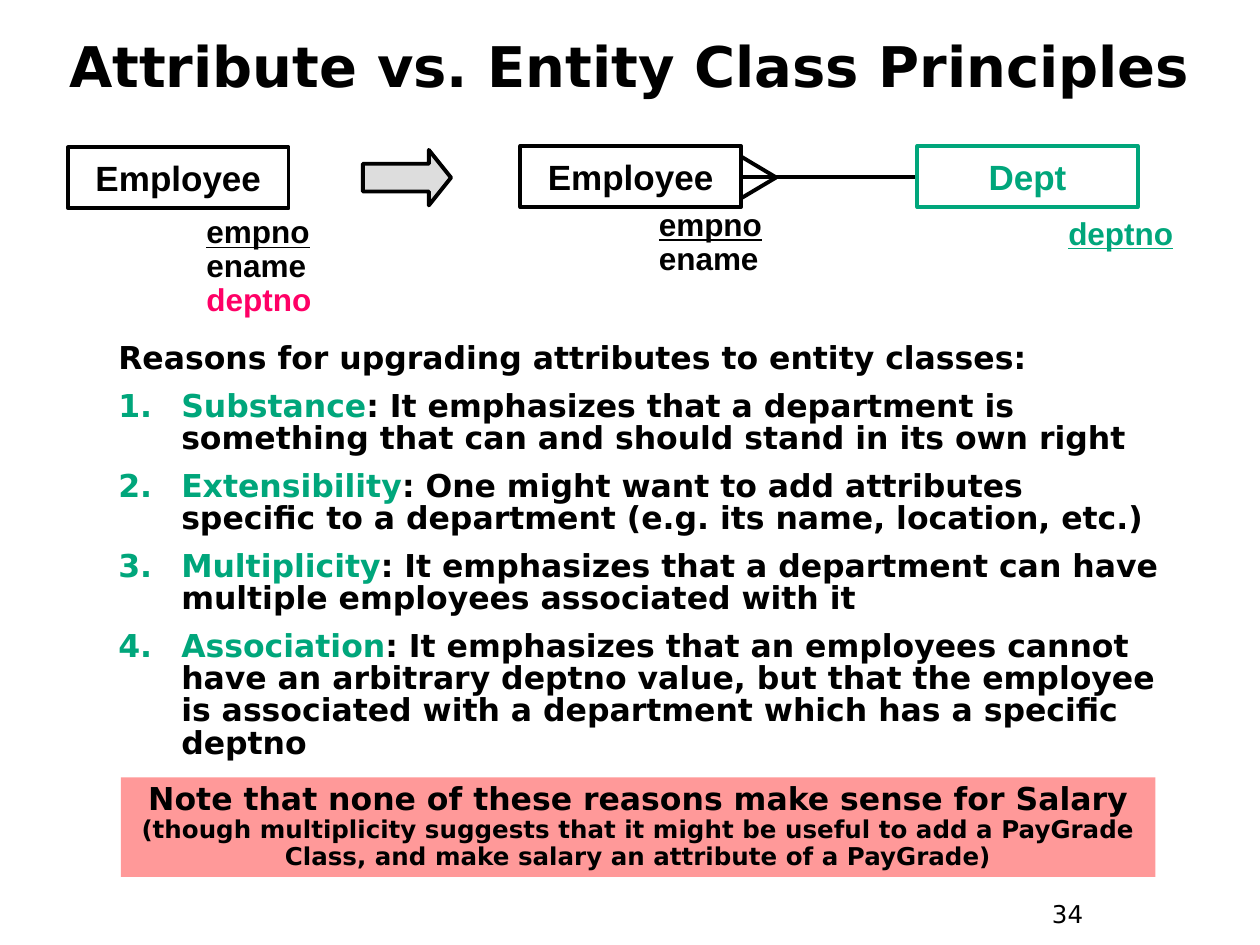
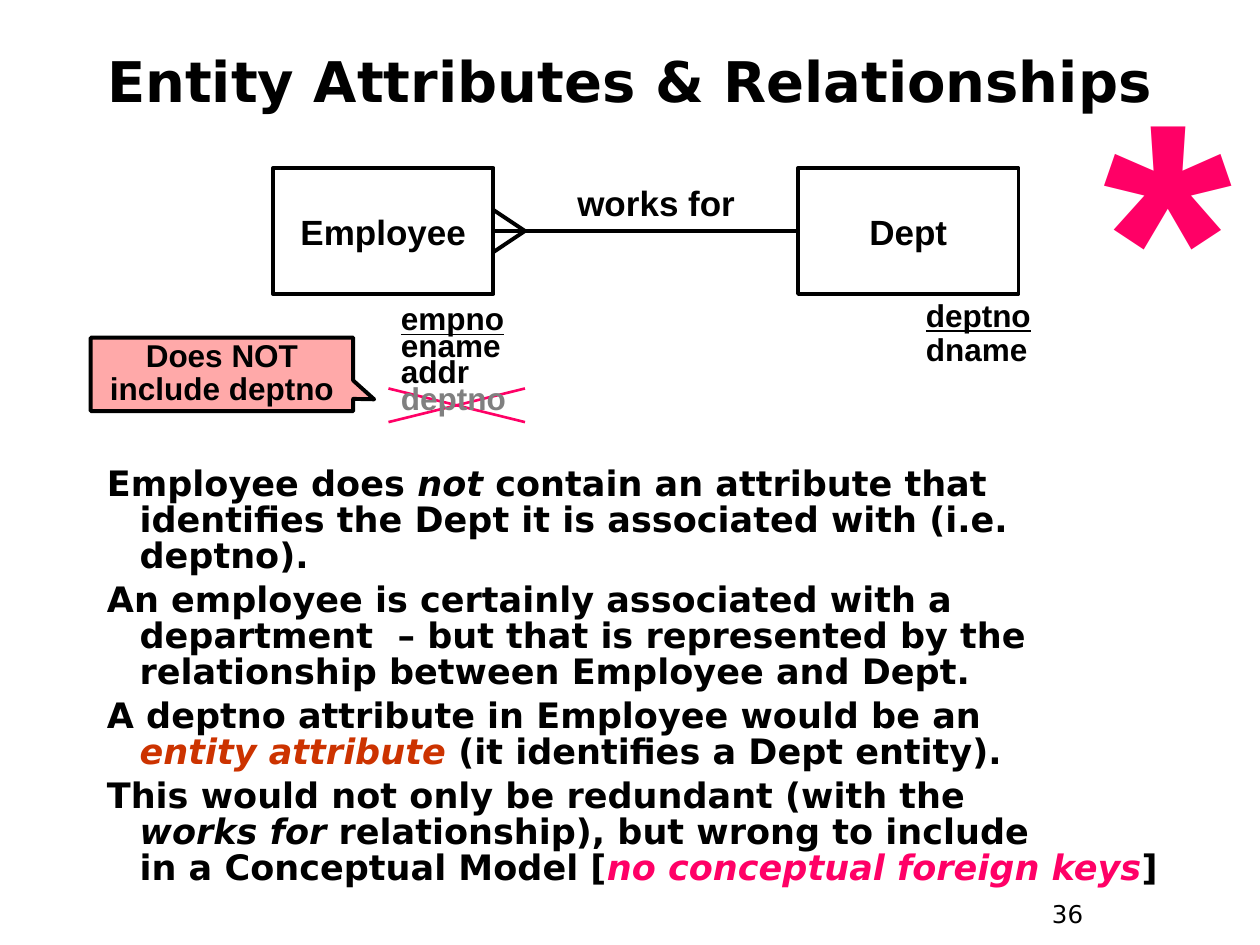
import dataclasses
import typing

import lxml.etree
import pptx
import pptx.dml.color
import pptx.enum.shapes
import pptx.enum.text
import pptx.oxml.ns
import pptx.util

COLOURS = {
    "black": "000000", "green": "00A67B", "pink": "FF0066", "rust": "CC3300",
    "grey": "808080", "arrow": "DDDDDD", "note": "FF9999", "callout": "FFA9A9",
}
SANS, ARIAL = "DejaVu Sans", "Arial"
LINE_WIDTH = 2.25
SHAPES = pptx.enum.shapes.MSO_SHAPE
ALIGN = pptx.enum.text.PP_ALIGN
ANCHOR = pptx.enum.text.MSO_ANCHOR

# Grid: 120 columns by 90 rows on a 10 x 7.5 inch slide
COLUMNS, ROWS = 120, 90
SLIDE_WIDTH, SLIDE_HEIGHT = pptx.util.Inches(10), pptx.util.Inches(7.5)


class Place(typing.NamedTuple):
    column: float
    row: float
    columns: float
    rows: float

    def lengths(self) -> list[int]:
        return [across(self.column), down(self.row), across(self.columns), down(self.rows)]


class Run(typing.NamedTuple):
    text: str
    formats: dict = {}


@dataclasses.dataclass(frozen=True)
class Style:
    size: float
    font: str = SANS
    bold: bool = True
    align: typing.Any = ALIGN.LEFT
    anchor: typing.Any = ANCHOR.TOP
    line_spacing: float = 1.0
    space_before: float = 0
    indent: float = 0
    wrap: bool = True


@dataclasses.dataclass(frozen=True)
class Entity:
    name: str
    place: Place
    attributes: list
    attributes_place: Place
    colour: str = "black"
    attribute_spacing: float = 0.9


TITLE = Style(32, align=ALIGN.CENTER, anchor=ANCHOR.MIDDLE)
PAGE_NUMBER = Style(14, bold=False)
ENTITY = Style(20, ARIAL, align=ALIGN.CENTER, anchor=ANCHOR.MIDDLE, wrap=False)
ATTRIBUTES = Style(18, ARIAL)
RELATIONSHIP = Style(20, ARIAL, align=ALIGN.CENTER)
REASONS = Style(18, line_spacing=0.85, space_before=9, indent=0.5)
NOTE = Style(18, align=ALIGN.CENTER, line_spacing=0.9)
EXPLANATION = Style(20, line_spacing=0.85, space_before=5, indent=0.26)
STAR = Style(189, ARIAL, align=ALIGN.CENTER, line_spacing=0.9)
CALLOUT = Style(18, ARIAL, align=ALIGN.CENTER, anchor=ANCHOR.MIDDLE, line_spacing=0.85)

KEY = {"underline": True}
ITALIC = {"italic": True}


def across(columns: float) -> int:
    return round(SLIDE_WIDTH * columns / COLUMNS)


def down(rows: float) -> int:
    return round(SLIDE_HEIGHT * rows / ROWS)


def rgb(colour: str) -> pptx.dml.color.RGBColor:
    return pptx.dml.color.RGBColor.from_string(COLOURS[colour])


# Text
def format_run(run: typing.Any, style: Style, formats: dict) -> None:
    values = {"name": style.font, "size": style.size, "bold": style.bold, **formats}
    run.font.color.rgb = rgb(values.pop("colour", "black"))
    values["size"] = pptx.util.Pt(values["size"])
    for name, value in values.items():
        setattr(run.font, name, value)


def number_paragraph(paragraph: typing.Any) -> None:
    properties = paragraph._p.get_or_add_pPr()
    qualified = pptx.oxml.ns.qn
    colour = lxml.etree.SubElement(properties, qualified("a:buClr"))
    lxml.etree.SubElement(colour, qualified("a:srgbClr"), val=COLOURS["green"])
    lxml.etree.SubElement(properties, qualified("a:buFont"), typeface=SANS)
    lxml.etree.SubElement(properties, qualified("a:buAutoNum"), type="arabicPeriod")


def write_text(shape: typing.Any, paragraphs: list, style: Style, numbered_from: int = 99) -> None:
    frame = shape.text_frame
    settings = {"word_wrap": style.wrap, "vertical_anchor": style.anchor,
                "auto_size": pptx.enum.text.MSO_AUTO_SIZE.NONE}
    for name, value in settings.items():
        setattr(frame, name, value)
    for index, runs in enumerate(paragraphs):
        paragraph = frame.add_paragraph() if index else frame.paragraphs[0]
        if index >= numbered_from:
            number_paragraph(paragraph)
        spacing = {"alignment": style.align, "line_spacing": style.line_spacing,
                   "space_before": pptx.util.Pt(style.space_before if index else 0)}
        for name, value in spacing.items():
            setattr(paragraph, name, value)
        if style.indent:
            indent = pptx.util.Inches(style.indent)
            properties = paragraph._p.get_or_add_pPr()
            properties.set("marL", str(indent))
            properties.set("indent", str(-indent))
        for text, formats in runs:
            for line_index, line in enumerate(text.split("\n")):
                if line_index:
                    paragraph.add_line_break()
                if line:
                    run = paragraph.add_run()
                    run.text = line
                    format_run(run, style, formats)


def add_text(slide: typing.Any, place: Place, paragraphs: list, style: Style,
             numbered_from: int = 99) -> None:
    box = slide.shapes.add_textbox(*place.lengths())
    write_text(box, paragraphs, style, numbered_from)


# Shapes and lines
def add_shape(slide: typing.Any, kind: typing.Any, place: Place, fill: str = "",
              line: str = "", adjustments: tuple = ()) -> typing.Any:
    shape = slide.shapes.add_shape(kind, *place.lengths())
    shape.shadow.inherit = False
    if fill:
        shape.fill.solid()
        shape.fill.fore_color.rgb = rgb(fill)
    else:
        shape.fill.background()
    if line:
        shape.line.color.rgb = rgb(line)
        shape.line.width = pptx.util.Pt(LINE_WIDTH)
    else:
        shape.line.fill.background()
    for index, value in enumerate(adjustments):
        shape.adjustments[index] = value
    return shape


def add_line(slide: typing.Any, start: tuple, end: tuple, colour: str = "black",
             width: float = LINE_WIDTH) -> None:
    connector = slide.shapes.add_connector(
        pptx.enum.shapes.MSO_CONNECTOR.STRAIGHT,
        across(start[0]), down(start[1]), across(end[0]), down(end[1]))
    connector.line.color.rgb = rgb(colour)
    connector.line.width = pptx.util.Pt(width)
    lxml.etree.SubElement(connector._element.spPr, pptx.oxml.ns.qn("a:effectLst"))


def add_entity(slide: typing.Any, entity: Entity) -> None:
    box = add_shape(slide, SHAPES.RECTANGLE, entity.place, line=entity.colour)
    write_text(box, [[Run(entity.name, {"colour": entity.colour})]], ENTITY)
    style = dataclasses.replace(ATTRIBUTES, line_spacing=entity.attribute_spacing)
    add_text(slide, entity.attributes_place, entity.attributes, style)


def add_relationship(slide: typing.Any, many: Entity, one: Entity, row: float,
                     foot: float) -> None:
    edge = many.place.column + many.place.columns
    add_line(slide, (one.place.column, row), (edge, row))
    for spread in (-2, 2):
        add_line(slide, (edge + foot, row), (edge, row + spread))


def add_titled_slide(presentation: typing.Any, title: str, place: Place, number: int) -> typing.Any:
    slide = presentation.slides.add_slide(presentation.slide_layouts.get_by_name("Title Only"))
    heading = slide.shapes.title
    for name, value in zip(("left", "top", "width", "height"), place.lengths()):
        setattr(heading, name, value)
    write_text(heading, [[Run(title)]], TITLE)
    add_text(slide, Place(99, 85, 9, 4.44), [[Run(str(number))]], PAGE_NUMBER)
    return slide


# Slide 34: upgrading an attribute to an entity class
def build_principles(presentation: typing.Any) -> None:
    slide = add_titled_slide(presentation, "Attribute vs. Entity Class Principles",
                             Place(4, 1.2, 112, 10), 34)
    before = Entity("Employee", Place(6.48, 14.04, 21, 5.8),
                    [[Run("empno", KEY)], [Run("ename\n"), Run("deptno", {"colour": "pink"})]],
                    Place(18.48, 20.04, 14, 10.92))
    after = Entity("Employee", Place(49.56, 13.92, 21, 5.8),
                   [[Run("empno", KEY)], [Run("ename")]], Place(61.56, 19.32, 14, 7.68))
    department = Entity("Dept", Place(87.36, 13.92, 21, 5.8),
                        [[Run("deptno", {**KEY, "colour": "green"})]],
                        Place(100.56, 20.16, 14, 4.44), "green")
    add_relationship(slide, after, department, row=16.9, foot=3.36)
    for entity in (before, after, department):
        add_entity(slide, entity)
    add_shape(slide, SHAPES.RIGHT_ARROW, Place(34.56, 14.28, 8.4, 5.28),
              "arrow", "black", (0.5, 0.4))

    reasons = {
        "Substance": "It emphasizes that a department is something that can and should "
                     "stand in its own right",
        "Extensibility": "One might want to add attributes specific to a department "
                         "(e.g. its name, location, etc.)",
        "Multiplicity": "It emphasizes that a department can have multiple employees "
                        "associated with it",
        "Association": "It emphasizes that an employees cannot have an arbitrary deptno value, "
                       "but that the employee is associated with a department which has a "
                       "specific deptno",
    }
    paragraphs = [[Run("Reasons for upgrading attributes to entity classes:")]]
    paragraphs += [[Run(reason, {"colour": "green"}), Run(f": {text}")]
                   for reason, text in reasons.items()]
    add_text(slide, Place(10.08, 32.16, 102.24, 43.44), paragraphs, REASONS, numbered_from=1)

    note = add_shape(slide, SHAPES.RECTANGLE, Place(11.52, 74.04, 98.52, 9.48), "note")
    write_text(note, [[
        Run("Note that none of these reasons make sense for Salary\n"),
        Run("(though multiplicity suggests that it might be useful to add a PayGrade Class, "
            "and make salary an attribute of a PayGrade)", {"size": 14}),
    ]], NOTE)


# Slide 36: relationships instead of entity attributes
def build_relationships(presentation: typing.Any) -> None:
    slide = add_titled_slide(presentation, "Entity Attributes & Relationships",
                             Place(4, 3.12, 112, 9), 36)
    cross_top, cross_bottom = 37, 40.2
    for start, end in ((cross_bottom, cross_top), (cross_top, cross_bottom)):
        add_line(slide, (37, start), (50, end), "pink", 1.5)

    add_text(slide, Place(9, 44, 104, 40), [
        [Run("Employee does "), Run("not", ITALIC),
         Run(" contain an attribute that identifies the Dept it is associated with "
             "(i.e. deptno).")],
        [Run("An employee is certainly associated with a department  – but that is "
             "represented by the relationship between Employee and Dept.")],
        [Run("A deptno attribute in Employee would be an\n"),
         Run("entity attribute ", {**ITALIC, "colour": "rust"}),
         Run("(it identifies a Dept entity).")],
        [Run("This would not only be redundant (with the \n"), Run("works for", ITALIC),
         Run(" relationship), but wrong to include \nin a Conceptual Model ["),
         Run("no conceptual foreign keys", {**ITALIC, "colour": "pink"}), Run("]")],
    ], EXPLANATION)
    add_text(slide, Place(103.2, 6, 16, 35.28), [[Run("*", {"colour": "pink"})]], STAR)

    employee = Entity("Employee", Place(26, 16, 21, 12),
                      [[Run("empno", KEY)], [Run("ename")],
                       [Run("addr\n"), Run("deptno", {"colour": "grey"})]],
                      Place(37, 28.92, 14, 11.28), attribute_spacing=0.7)
    department = Entity("Dept", Place(76, 16, 21, 12),
                        [[Run("deptno", KEY)], [Run("dname")]], Place(87, 28, 14, 7.68))
    for entity in (employee, department):
        add_entity(slide, entity)
    add_relationship(slide, employee, department, row=22, foot=3)
    add_text(slide, Place(53, 16.68, 19, 5.28), [[Run("works for")]], RELATIONSHIP)

    callout = add_shape(slide, SHAPES.RECTANGULAR_CALLOUT, Place(8.64, 32.16, 25, 7),
                        "callout", "black", (0.58, 0.34))
    write_text(callout, [[Run("Does NOT\ninclude deptno")]], CALLOUT)


def main() -> None:
    presentation = pptx.Presentation()
    presentation.slide_width, presentation.slide_height = SLIDE_WIDTH, SLIDE_HEIGHT
    build_principles(presentation)
    build_relationships(presentation)
    presentation.save("out.pptx")


if __name__ == "__main__":
    main()
